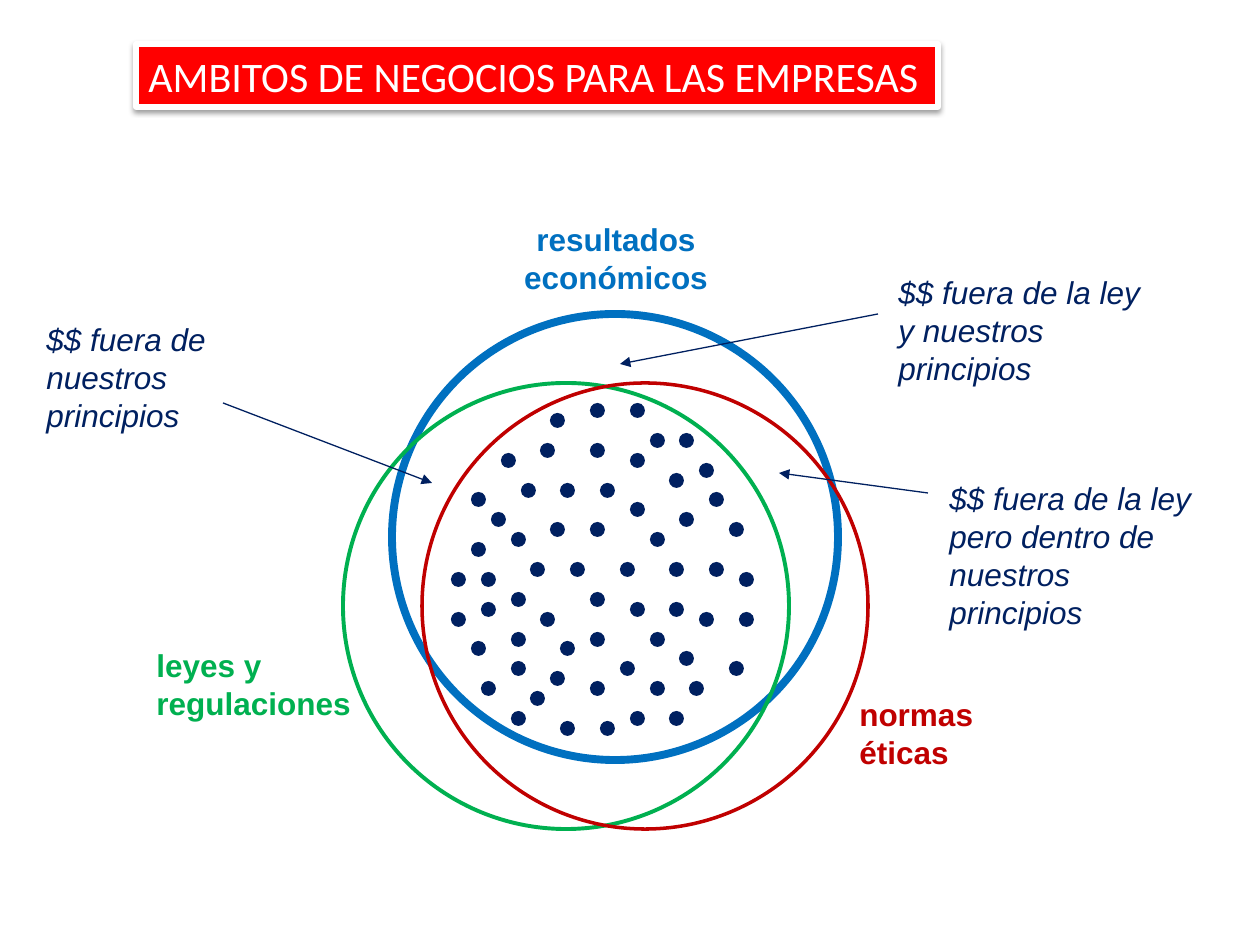
from lxml.etree import SubElement
from pptx import Presentation
from pptx.dml.color import RGBColor
from pptx.enum.shapes import MSO_CONNECTOR as Connector, MSO_SHAPE as Shape
from pptx.enum.text import MSO_ANCHOR as Anchor, PP_ALIGN as Align
from pptx.oxml import parse_xml
from pptx.oxml.ns import nsdecls, qn
from pptx.util import Emu, Pt

PX = 914400 // 126
NAVY, BLUE, GREEN, RED = "002060", "0070C0", "00B050", "C00000"
CIRCLE = 446
DOT = 15

# Dots on a 29 by 32 grid: row -> columns
DOT_ROWS = {
    0: (14, 18), 1: (10,), 3: (20, 23), 4: (9, 14), 5: (5, 18), 6: (25,),
    7: (22,), 8: (7, 11, 15), 9: (2, 26), 10: (18,), 11: (4, 23),
    12: (10, 14, 28), 13: (6, 20), 14: (2,), 16: (8, 12, 17, 22, 26),
    17: (0, 3, 29), 19: (6, 14), 20: (3, 18, 22), 21: (0, 9, 25, 29),
    23: (6, 14, 20), 24: (2, 11), 25: (23,), 26: (6, 17, 28), 27: (10,),
    28: (3, 14, 20, 24), 29: (8,), 31: (6, 18, 22), 32: (11, 15),
}
GRID_COLUMNS, GRID_ROWS = 29, 32


def px(*lengths):
    return [Emu(length * PX) for length in lengths]


def paint(color_format, color):
    color_format.rgb = RGBColor.from_string(color)


def write(frame, lines, color, size=18, font="Arial", bold=False,
          italic=False, align=Align.LEFT):
    for index, line in enumerate(lines):
        para = frame.paragraphs[0] if index == 0 else frame.add_paragraph()
        para.text = line
        para.alignment = align
        para.font.name, para.font.size = font, Pt(size)
        para.font.bold, para.font.italic = bold, italic
        paint(para.font.color, color)


def add_title(page, left, top, width, height, text):
    box = page.shapes.add_shape(Shape.RECTANGLE, *px(left, top, width, height))
    box.fill.solid()
    paint(box.fill.fore_color, "FF0000")
    paint(box.line.color, "FFFFFF")
    box.line.width = Pt(3)
    box.text_frame.word_wrap = True
    box.text_frame.vertical_anchor = Anchor.TOP
    write(box.text_frame, [text], "FFFFFF", 24, "Calibri")
    # Soft shadow below the box
    box._element.spPr.append(parse_xml(
        f'<a:effectLst {nsdecls("a")}><a:outerShdw blurRad="39370" dist="20320" '
        'dir="5400000" rotWithShape="0"><a:srgbClr val="000000">'
        '<a:alpha val="38000"/></a:srgbClr></a:outerShdw></a:effectLst>'))


def add_domain(page, left, top, label_box, lines, color, weight, align=Align.LEFT):
    """A ring at left, top with its label offset from that corner."""
    group = page.shapes.add_group_shape()
    ring = group.shapes.add_shape(Shape.OVAL, *px(left, top, CIRCLE, CIRCLE))
    ring.shadow.inherit = False
    ring.fill.background()
    paint(ring.line.color, color)
    ring.line.width = Pt(weight)
    dx, dy, width, height = label_box
    label = group.shapes.add_textbox(*px(left + dx, top + dy, width, height))
    label.text_frame.word_wrap = False
    write(label.text_frame, lines, color, bold=True, align=align)


def add_dots(page, left, top, width, height):
    group = page.shapes.add_group_shape()
    for row, columns in DOT_ROWS.items():
        for column in columns:
            x = left + round(column * (width - DOT) / GRID_COLUMNS)
            y = top + round(row * (height - DOT) / GRID_ROWS)
            dot = group.shapes.add_shape(Shape.OVAL, *px(x, y, DOT, DOT))
            dot.shadow.inherit = False
            dot.fill.solid()
            paint(dot.fill.fore_color, NAVY)
            dot.line.fill.background()


def add_note(page, left, top, width, height, lines, start, end):
    """A remark whose arrow runs between offsets from its corner."""
    group = page.shapes.add_group_shape()
    arrow = group.shapes.add_connector(
        Connector.STRAIGHT, *px(left + start[0], top + start[1],
                                left + end[0], top + end[1]))
    paint(arrow.line.color, NAVY)
    arrow.line.width = Pt(0.75)
    SubElement(arrow.line._get_or_add_ln(), qn("a:tailEnd"), type="triangle")
    SubElement(arrow._element.spPr, qn("a:effectLst"))
    note = group.shapes.add_textbox(*px(left, top, width, height))
    note.text_frame.word_wrap = True
    write(note.text_frame, lines, NAVY, italic=True)


def main():
    deck = Presentation()
    deck.slide_width, deck.slide_height = px(1260, 945)
    page = deck.slides.add_slide(deck.slide_layouts[6])

    # Three overlapping domains
    add_domain(page, 392, 314, (118, -100, 212, 89),
               ["resultados", "económicos"], BLUE, 4.5, Align.CENTER)
    add_domain(page, 343, 383, (-199, 257, 222, 89),
               ["leyes y", "regulaciones"], GREEN, 2.25)
    add_domain(page, 422, 383, (425, 306, 140, 89),
               ["normas", "éticas"], RED, 2)
    add_dots(page, 451, 403, 303, 333)

    # Remarks on the outer areas
    add_note(page, 886, 267, 287, 127,
             ["$$ fuera de la ley", "y nuestros principios"], (-8, 47), (-266, 97))
    add_note(page, 34, 314, 266, 127,
             ["$$ fuera de", "nuestros principios"], (189, 89), (398, 169))
    add_note(page, 937, 473, 270, 165,
             ["$$ fuera de la ley", "pero dentro de", "nuestros principios"],
             (-9, 20), (-158, 0))

    add_title(page, 136, 44, 802, 63, "AMBITOS DE NEGOCIOS PARA LAS EMPRESAS")
    deck.save("out.pptx")


if __name__ == "__main__":
    main()
